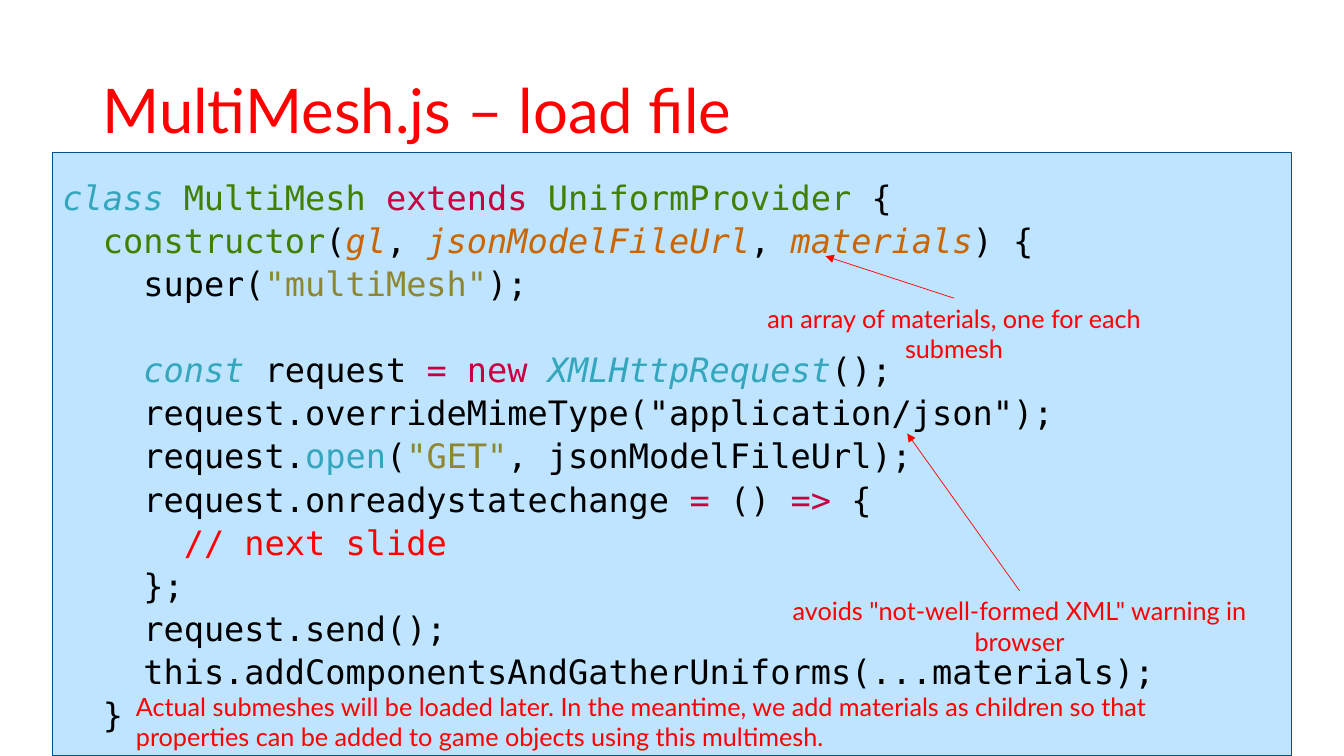
import pptx
import pptx.util
import pptx.dml.color
import pptx.enum.text
import pptx.enum.shapes
import pptx.oxml.ns
import lxml.etree
import dataclasses

Pt = pptx.util.Pt
Align = pptx.enum.text.PP_ALIGN
Anchor = pptx.enum.text.MSO_ANCHOR
Fit = pptx.enum.text.MSO_AUTO_SIZE


@dataclasses.dataclass(frozen=True)
class Theme:
    """Colours, fonts and sizes of the slide."""
    red: str = "FF0000"
    fill: str = "BFE4FF"
    edge: str = "00538E"
    plain: str = "000000"
    type: str = "34A7BD"
    name: str = "427E00"
    key: str = "C70040"
    arg: str = "CB6500"
    text: str = "8F8634"
    sans: str = "Lato"
    mono: str = "DejaVu Sans Mono"
    head: int = 44
    code: int = 24
    note: int = 18
    step: float = 28.9
    row: float = 30.8


THEME = Theme()

CODE = [
    (0, 0, [("type", "class ", True), ("name", "MultiMesh "), ("key", "extends "),
            ("name", "UniformProvider "), ("plain", "{")]),
    (1, 0, [("name", "constructor"), ("plain", "("), ("arg", "gl", True), ("plain", ", "),
            ("arg", "jsonModelFileUrl", True), ("plain", ", "),
            ("arg", "materials", True), ("plain", ") {")]),
    (2, 0, [("plain", "super("), ("text", '"multiMesh"'), ("plain", ");")]),
    (2, 1, [("type", "const ", True), ("plain", "request "), ("key", "= new "),
            ("type", "XMLHttpRequest", True), ("plain", "();")]),
    (2, 0, [("plain", 'request.overrideMimeType("application/json");')]),
    (2, 0, [("plain", "request."), ("type", "open"), ("plain", "("),
            ("text", '"GET"'), ("plain", ", jsonModelFileUrl);")]),
    (2, 0, [("plain", "request.onreadystatechange "), ("key", "="), ("plain", " () "),
            ("key", "=>"), ("plain", " {")]),
    (3, 0, [("red", "// next slide")]),
    (2, 0, [("plain", "};")]),
    (2, 0, [("plain", "request.send();")]),
    (2, 0, [("plain", "this.addComponentsAndGatherUniforms(...materials);")]),
    (1, 0, [("plain", "}")]),
]


def rgb(hue):
    """Turn a hex string into a colour."""
    return pptx.dml.color.RGBColor.from_string(hue)


def apply(item, vals):
    """Set each named attribute on the item."""
    for key, val in vals.items():
        setattr(item, key, val)


def write(para, text, face, size, hue, slant=False):
    """Add one formatted run to a paragraph."""
    run = para.add_run()
    run.text = text
    apply(run.font, {"name": face, "size": Pt(size), "italic": slant})
    run.font.color.rgb = rgb(hue)


def title(slide, box, text):
    """Fill and place the title."""
    head = slide.shapes.title
    apply(head, dict(zip(("left", "top", "width", "height"), map(Pt, box))))
    apply(head.text_frame, {"vertical_anchor": Anchor.MIDDLE, "auto_size": Fit.NONE,
                            "word_wrap": True})
    para = head.text_frame.paragraphs[0]
    apply(para, {"alignment": Align.LEFT, "line_spacing": 0.9})
    write(para, text, THEME.sans, THEME.head, THEME.red)


def panel(slide, box, rows):
    """Draw the code panel with its coloured, indented rows."""
    rect = slide.shapes.add_shape(pptx.enum.shapes.MSO_SHAPE.RECTANGLE, *map(Pt, box))
    rect.shadow.inherit = False
    rect.fill.solid()
    rect.fill.fore_color.rgb = rgb(THEME.fill)
    rect.line.color.rgb = rgb(THEME.edge)
    rect.line.width = Pt(1)
    frame = rect.text_frame
    apply(frame, {"vertical_anchor": Anchor.MIDDLE, "word_wrap": True})
    for spot, (depth, gap, runs) in enumerate(rows):
        para = frame.add_paragraph() if spot else frame.paragraphs[0]
        apply(para, {"alignment": Align.LEFT, "line_spacing": 1.07,
                     "space_before": Pt(gap * THEME.row)})
        para._p.get_or_add_pPr().set("marL", str(Pt(depth * THEME.step)))
        for kind, text, *slant in runs:
            write(para, text, THEME.mono, THEME.code, getattr(THEME, kind), bool(slant))


def note(slide, box, text, align, tip=None):
    """Place a red note and, given a tip, an arrow from its top."""
    label = slide.shapes.add_textbox(*map(Pt, box))
    apply(label.text_frame, {"word_wrap": True, "auto_size": Fit.NONE})
    para = label.text_frame.paragraphs[0]
    para.alignment = align
    write(para, text, THEME.sans, THEME.note, THEME.red)
    if tip:
        arrow(slide, label, box[0] + tip[0], box[1] + tip[1])


def arrow(slide, label, left, top):
    """Draw a thin arrow from the top of a label to a point."""
    line = slide.shapes.add_connector(pptx.enum.shapes.MSO_CONNECTOR.STRAIGHT,
                                      label.left, label.top, Pt(left), Pt(top))
    line.begin_connect(label, 0)
    line.line.color.rgb = rgb(THEME.red)
    line.line.width = Pt(0.5)
    qn = pptx.oxml.ns.qn
    props = line._element.spPr
    lxml.etree.SubElement(props.find(qn("a:ln")), qn("a:tailEnd"), type="triangle")
    lxml.etree.SubElement(props, qn("a:effectLst"))


def main():
    """Build and save the slide."""
    deck = pptx.Presentation()
    apply(deck, {"slide_width": Pt(960), "slide_height": Pt(540)})
    slide = deck.slides.add_slide(deck.slide_layouts[5])
    title(slide, (66, 29, 828, 104), "MultiMesh.js – load file")
    panel(slide, (37.5, 108.8, 885, 431.2), CODE)
    note(slide, (517.7, 213, 327.6, 29), "an array of materials, one for each submesh",
         Align.CENTER, (72, -30))
    note(slide, (549.4, 422, 357.8, 29), 'avoids "not-well-formed XML" warning in browser',
         Align.CENTER, (98.6, -112.4))
    note(slide, (90, 490.3, 821.5, 51),
         "Actual submeshes will be loaded later. In the meantime, we add materials as "
         "children so that properties can be added to game objects using this multimesh.",
         Align.LEFT)
    deck.save("out.pptx")


if __name__ == "__main__":
    main()
